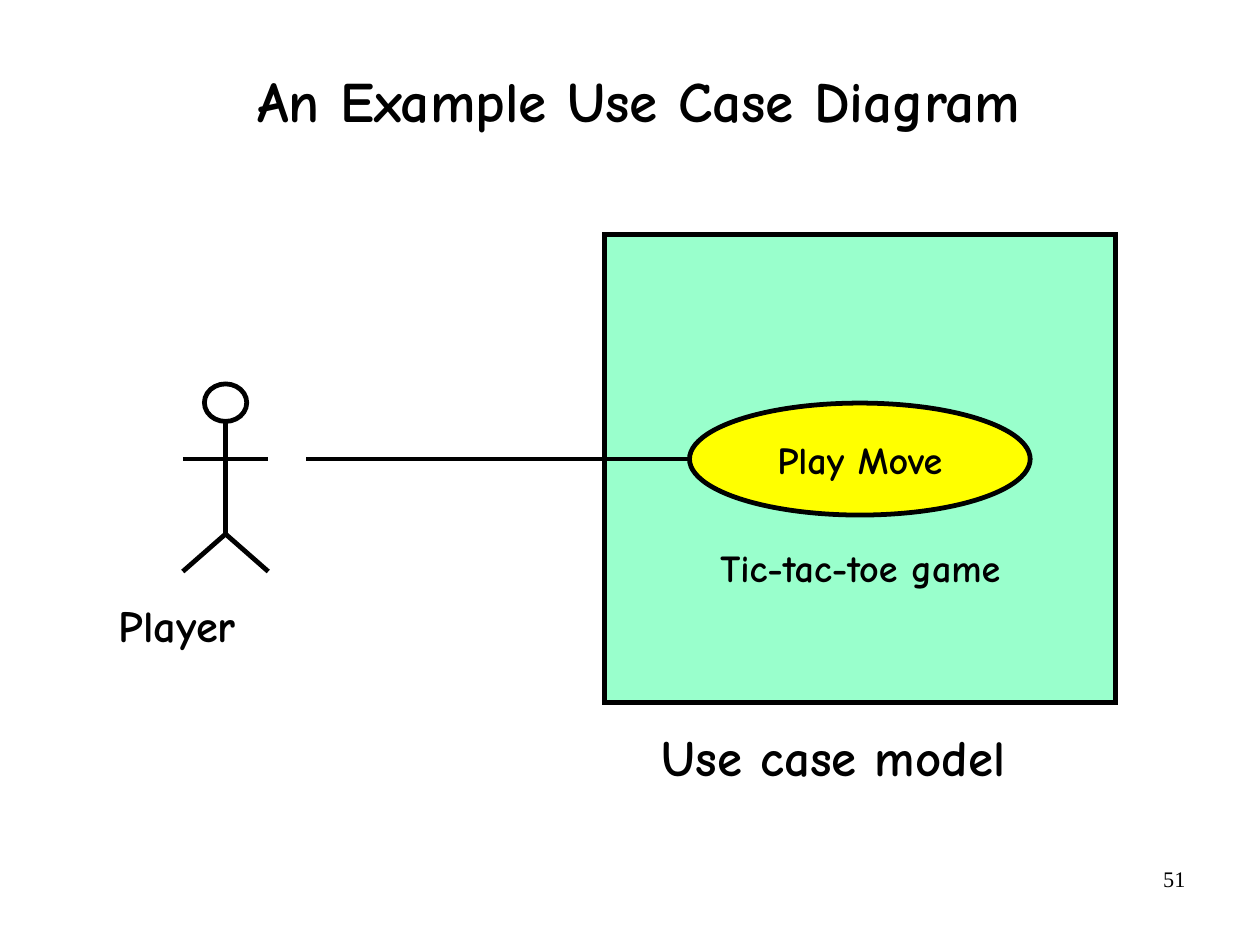
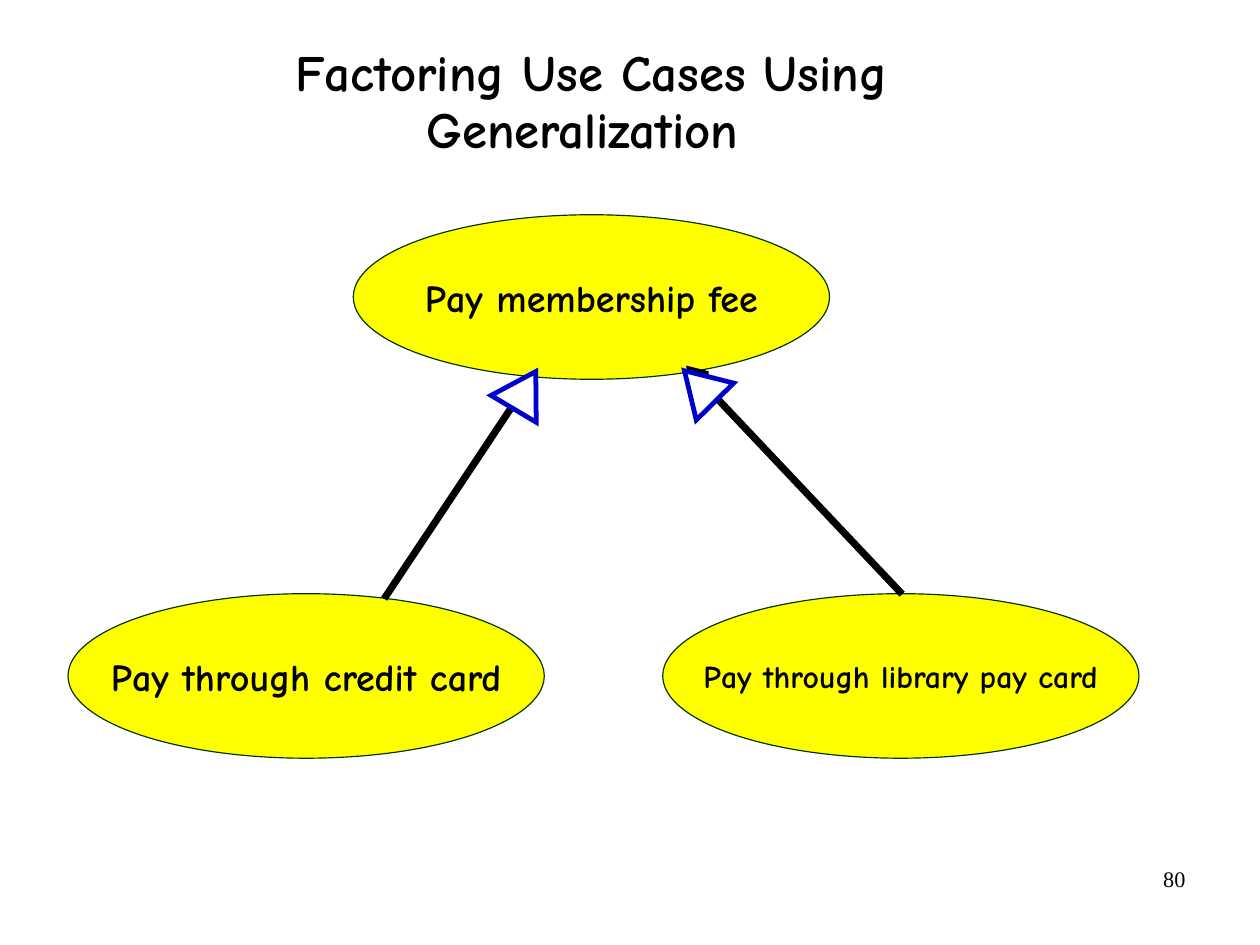
"""Builds two slides on use case diagrams; lengths are percent of the slide's size."""
from dataclasses import dataclass
from typing import Optional

from lxml import etree
from pptx import Presentation
from pptx.dml.color import RGBColor
from pptx.enum.shapes import MSO_CONNECTOR, MSO_SHAPE
from pptx.enum.text import MSO_ANCHOR, PP_ALIGN
from pptx.oxml.ns import qn
from pptx.util import Cm, Pt

RECTANGLE, OVAL, TRIANGLE = MSO_SHAPE.RECTANGLE, MSO_SHAPE.OVAL, MSO_SHAPE.ISOSCELES_TRIANGLE
STRAIGHT = MSO_CONNECTOR.STRAIGHT
TOP, MIDDLE = MSO_ANCHOR.TOP, MSO_ANCHOR.MIDDLE
LEFT, CENTER, RIGHT = PP_ALIGN.LEFT, PP_ALIGN.CENTER, PP_ALIGN.RIGHT

WIDTH, HEIGHT = Cm(28), Cm(21)
COLORS = {
    "ink": "000000",
    "white": "FFFFFF",
    "system": "99FFCC",
    "use_case": "FFFF00",
    "use_case_edge": "003300",
    "arrowhead": "0000CC",
}
HEADING_FONT, NUMBER_FONT = "Comic Neue", "Times New Roman"
INSET_X, INSET_Y = 1, 0.7


@dataclass(frozen=True)
class Box:
    left: float
    top: float
    width: float
    height: float

    def emu(self) -> tuple[int, int, int, int]:
        return across(self.left), down(self.top), across(self.width), down(self.height)


@dataclass(frozen=True)
class Label:
    text: str
    size: float
    align: PP_ALIGN = CENTER
    anchor: MSO_ANCHOR = MIDDLE
    font: str = HEADING_FONT
    bold: bool = True
    wrap: bool = False
    line_spacing: Optional[float] = None
    inset_x: float = INSET_X
    inset_top: float = INSET_Y


@dataclass(frozen=True)
class Node:
    kind: MSO_SHAPE
    box: Box
    fill: Optional[str] = None
    edge: str = "ink"
    weight: float = 3
    label: Optional[Label] = None
    rotation: float = 0


@dataclass(frozen=True)
class Link:
    x1: float
    y1: float
    x2: float
    y2: float
    weight: float = 3
    arrow: bool = False


def across(share: float) -> int:
    return round(WIDTH * share / 100)


def down(share: float) -> int:
    return round(HEIGHT * share / 100)


def color(name: str) -> RGBColor:
    return RGBColor.from_string(COLORS[name])


def write(shape, label: Label) -> None:
    frame = shape.text_frame
    frame.word_wrap = label.wrap
    frame.vertical_anchor = label.anchor
    frame.margin_left = frame.margin_right = across(label.inset_x)
    frame.margin_top, frame.margin_bottom = down(label.inset_top), down(INSET_Y)
    paragraph = frame.paragraphs[0]
    paragraph.text = label.text
    paragraph.alignment = label.align
    if label.line_spacing:
        paragraph.line_spacing = label.line_spacing
    for run in paragraph.runs:
        run.font.name, run.font.size, run.font.bold = label.font, Pt(label.size), label.bold
        run.font.color.rgb = color("ink")


def add_label(slide, box: Box, label: Label) -> None:
    write(slide.shapes.add_textbox(*box.emu()), label)


def add_node(slide, node: Node) -> None:
    shape = slide.shapes.add_shape(node.kind, *node.box.emu())
    shape.shadow.inherit = False
    shape.rotation = node.rotation
    if node.fill:
        shape.fill.solid()
        shape.fill.fore_color.rgb = color(node.fill)
    else:
        shape.fill.background()
    shape.line.color.rgb = color(node.edge)
    shape.line.width = Pt(node.weight)
    etree.SubElement(shape._element.spPr.find(qn("a:ln")), qn("a:miter"), lim="800000")
    if node.label:
        write(shape, node.label)


def add_link(slide, link: Link) -> None:
    connector = slide.shapes.add_connector(
        STRAIGHT, across(link.x1), down(link.y1), across(link.x2), down(link.y2))
    connector.line.color.rgb = color("ink")
    connector.line.width = Pt(link.weight)
    properties = connector._element.spPr
    if link.arrow:
        etree.SubElement(properties.find(qn("a:ln")), qn("a:tailEnd"), type="arrow")
    etree.SubElement(properties, qn("a:effectLst"))


def add_titled_slide(deck, title: str, size: float, left: float, number: int):
    slide = deck.slides.add_slide(deck.slide_layouts[6])
    add_label(slide, Box(71.69, 90.9, 23.4, 6.89),
              Label(str(number), 14, RIGHT, TOP, NUMBER_FONT, bold=False))
    add_label(slide, Box(left, 1.9, 85.03, 18),
              Label(title, size, wrap=True, line_spacing=0.94, inset_x=0.2))
    return slide


def add_actor(slide, center: float, top: float, name: str) -> None:
    """Draws a stick figure on rows of equal height, with its name below."""
    row, arm, head = 3.97, 3.39, 3.36
    neck, shoulder, hip, foot = (top + row * step for step in (1, 2, 4, 5))
    add_node(slide, Node(OVAL, Box(center - head / 2, top, head, row)))
    add_link(slide, Link(center, neck, center, hip))
    add_link(slide, Link(center - arm, shoulder, center + arm, shoulder))
    for side in (-arm, arm):
        add_link(slide, Link(center, hip, center + side, foot))
    add_label(slide, Box(8.44, 62.6, 12.43, 7), Label(name, 28, LEFT, TOP))


def build_example(deck) -> None:
    slide = add_titled_slide(deck, "An Example Use Case Diagram ", 36, 8.98, 51)
    add_label(slide, Box(51.54, 76.1, 32.21, 7.74), Label("Use case model", 32, LEFT, TOP))
    add_node(slide, Node(RECTANGLE, Box(48, 24.79, 40.56, 49.58), "system",
                         label=Label("Tic-tac-toe game", 24, inset_top=21.5)))
    play_move = Box(54.72, 42.65, 27.04, 11.85)
    add_node(slide, Node(OVAL, play_move, "use_case", label=Label("Play Move", 24)))
    add_actor(slide, 17.9, 40.63, "Player")
    middle = play_move.top + play_move.height / 2
    add_link(slide, Link(24.32, middle, play_move.left, middle))


def build_generalization(deck) -> None:
    slide = add_titled_slide(deck, "Factoring Use Cases Using\vGeneralization ", 32, 4.45, 80)
    use_cases = (
        ("Pay membership fee", 24, 28.04, 22.73),
        ("Pay through library pay card", 20, 52.6, 62.83),
        ("Pay through credit card", 24, 5.4, 62.83),
    )
    for text, size, left, top in use_cases:
        add_node(slide, Node(OVAL, Box(left, top, 37.8, 17.41), "use_case",
                             "use_case_edge", 0.75, Label(text, size)))
    for ends in ((30.49, 63.36, 42.38, 39.54), (71.6, 62.88, 54.45, 38.69)):
        add_link(slide, Link(*ends, weight=4.5, arrow=True))
    for left, top, rotation in ((39.56, 39, 30.7), (53.45, 38.57, 315.3)):
        add_node(slide, Node(TRIANGLE, Box(left, top, 4.17, 4.59), "white",
                             "arrowhead", rotation=rotation))


def main() -> None:
    deck = Presentation()
    deck.slide_width, deck.slide_height = WIDTH, HEIGHT
    build_example(deck)
    build_generalization(deck)
    deck.save("out.pptx")


if __name__ == "__main__":
    main()
